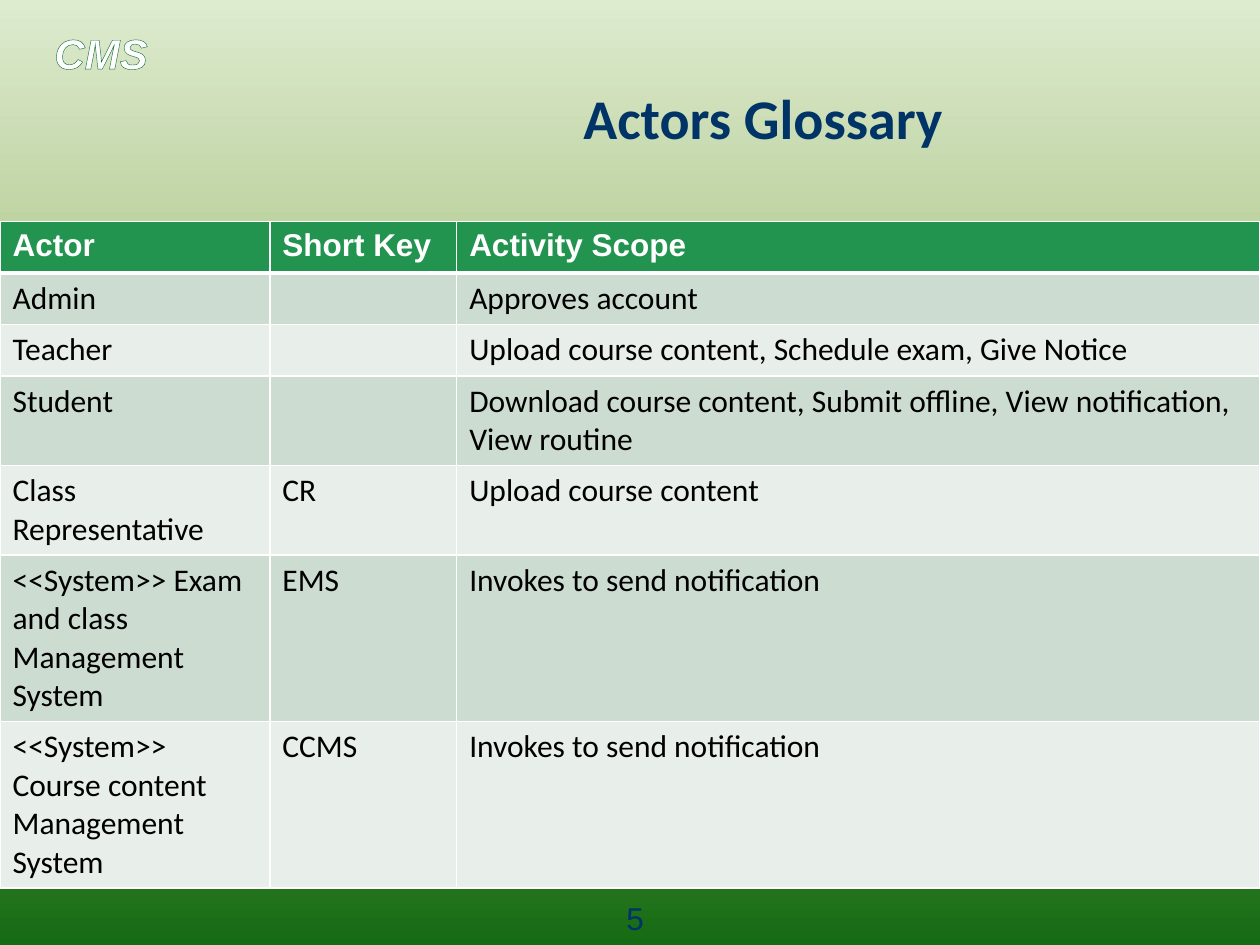
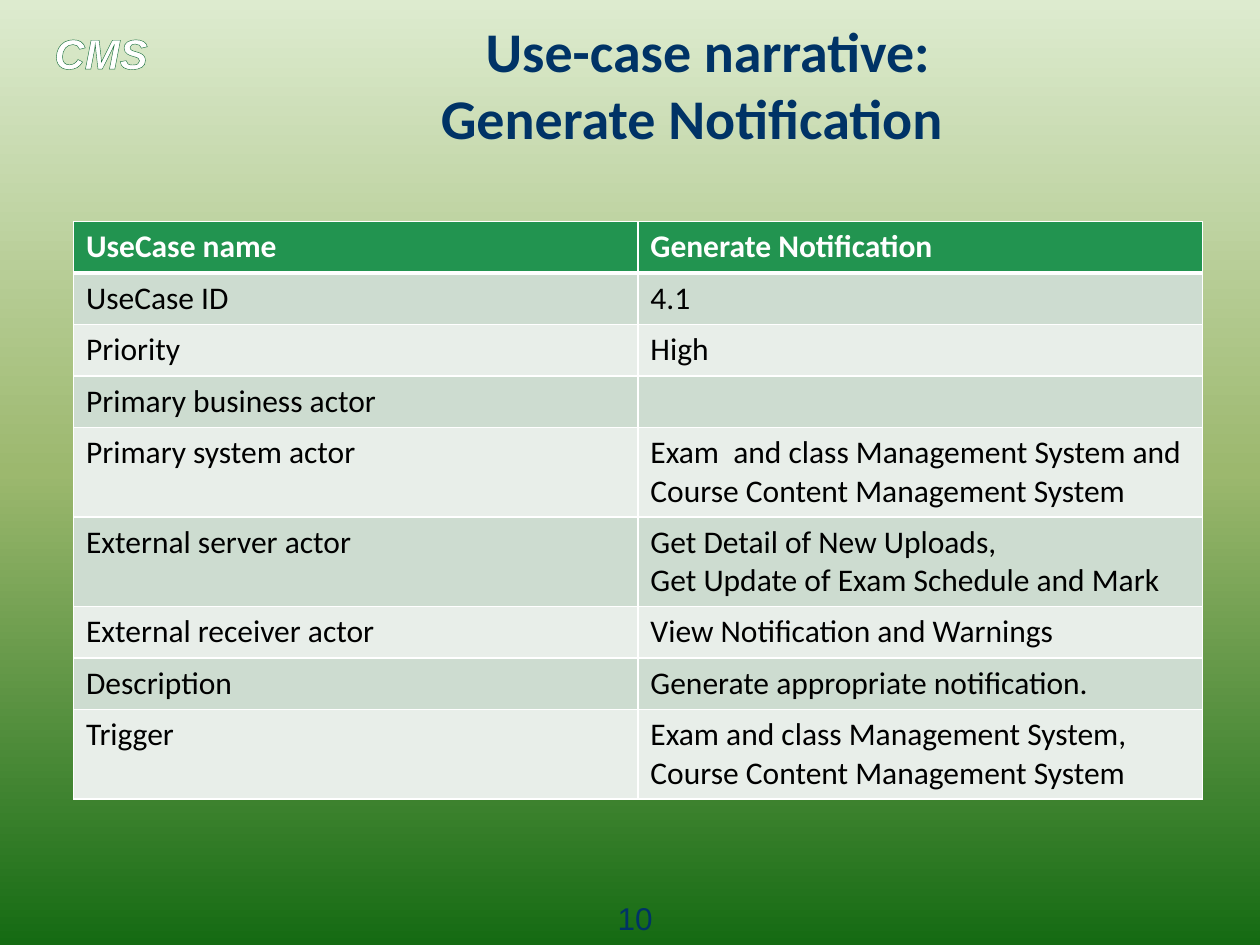
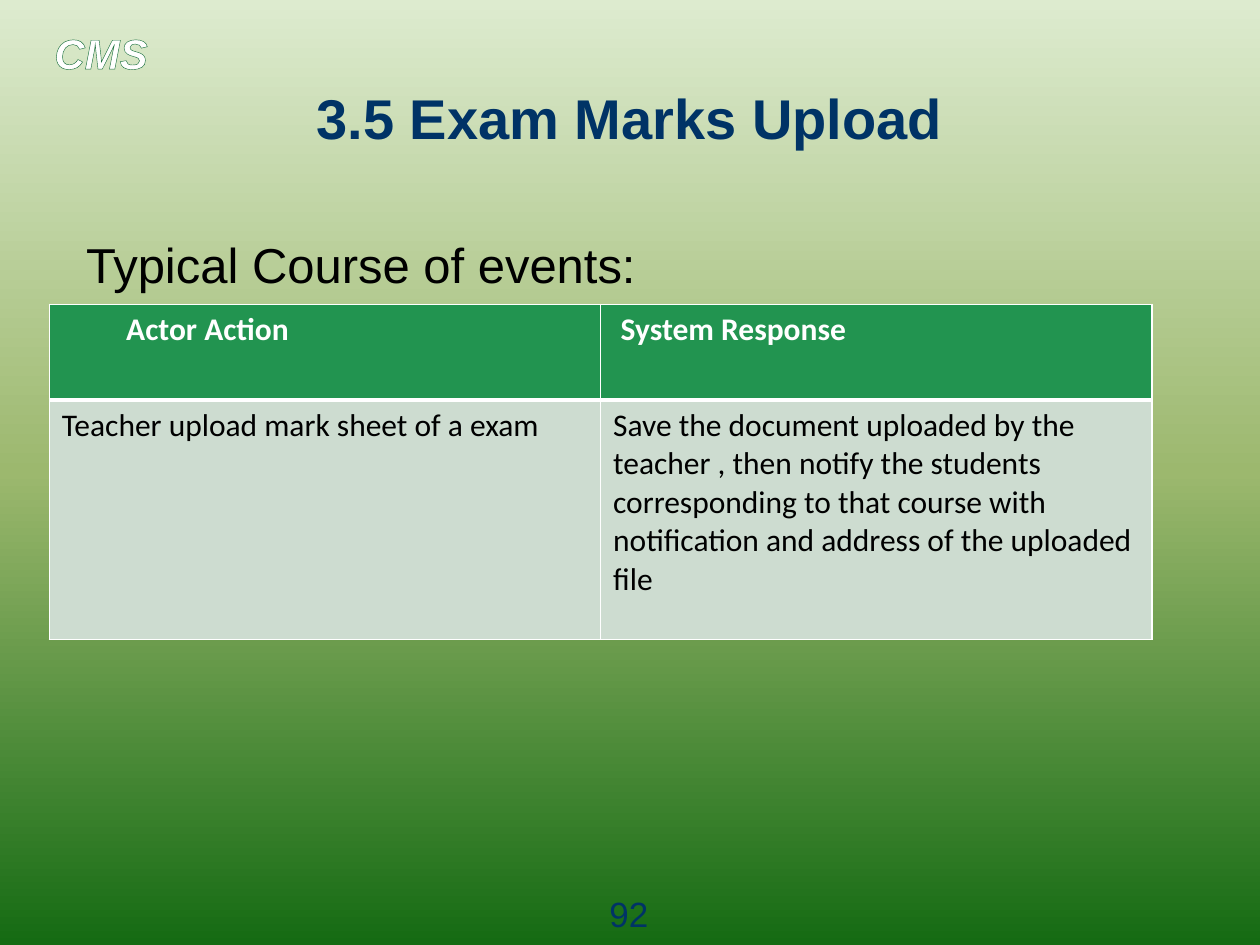
from lxml import etree
from pptx import Presentation
from pptx.dml.color import RGBColor
from pptx.enum.text import MSO_ANCHOR, MSO_AUTO_SIZE, PP_ALIGN
from pptx.oxml import parse_xml
from pptx.oxml.ns import nsdecls, qn
from pptx.util import Inches, Pt

LEFT, MID, RIGHT = PP_ALIGN.LEFT, PP_ALIGN.CENTER, PP_ALIGN.RIGHT
BASE, FIXED = MSO_ANCHOR.BOTTOM, MSO_AUTO_SIZE.NONE
COLS, ROWS = 120, 90
WHITE, BLACK, NAVY, HEAD, EDGE = "FFFFFF", "000000", "003366", "229450", "196F3C"
BANDS = ("CDDCD0", "E8EEE9")
STOPS = ((0, "DDEBCF"), (50, "9CB86E"), (100, "156B13"))
SANS, BODY = "Arial", "Calibri"
TOP, LINE = 21.1, 4.9

ACTORS = [
    ("Actor", "Short Key", "Activity Scope"),
    ("Admin", "", "Approves account"),
    ("Teacher", "", "Upload course content, Schedule exam, Give Notice"),
    ("Student", "", "Download course content, Submit offline, View notification, View routine"),
    ("Class Representative", "CR", "Upload course content"),
    ("<<System>> Exam and class Management System", "EMS", "Invokes to send notification"),
    ("<<System>> Course content Management System", "CCMS", "Invokes to send notification"),
]
NOTICE = [
    ("UseCase name", "Generate Notification"),
    ("UseCase ID", "4.1"),
    ("Priority", "High"),
    ("Primary business actor", ""),
    ("Primary system actor",
     "Exam  and class Management System and Course Content Management System"),
    ("External server actor", "Get Detail of New Uploads,\nGet Update of Exam Schedule and Mark"),
    ("External receiver actor", "View Notification and Warnings"),
    ("Description", "Generate appropriate notification."),
    ("Trigger", "Exam and class Management System, Course Content Management System"),
]
EVENTS = [
    ("Actor Action", "System Response"),
    ("Teacher upload mark sheet of a exam",
     "Save the document uploaded by the teacher , then notify the students corresponding "
     "to that course with notification and address of the uploaded file"),
]


def color(code):
    """Turn a hex string into a colour."""
    return RGBColor.from_string(code)


def solid(code):
    """Give the XML of a solid fill."""
    return f'<a:solidFill><a:srgbClr val="{code}"/></a:solidFill>'


def write(frame, words, size=18, face=BODY, tint=BLACK, bold=False, slant=False, align=LEFT):
    """Fill a text frame with formatted paragraphs."""
    frame.text = words
    for para in frame.paragraphs:
        para.alignment = align
        for run in para.runs:
            font = run.font
            font.size, font.name = Pt(size), face
            font.bold, font.italic = bold, slant
            font.color.rgb = color(tint)


def border(cell, **sides):
    """Draw white borders, in points, in the order given."""
    props = cell._tc.get_or_add_tcPr()
    for spot, (side, width) in enumerate(sides.items()):
        props.insert(spot, parse_xml(
            f'<a:ln{side} {nsdecls("a")} w="{Pt(width)}">{solid(WHITE)}</a:ln{side}>'))


class Deck:
    """Hold the shared style and the current slide."""

    def __init__(self):
        """Start a deck with its backdrop."""
        self.prs = Presentation()
        self.prs.slide_width, self.prs.slide_height = Inches(10), Inches(7.5)
        self.slide = None
        self.backdrop()

    def grid(self, *spans):
        """Turn grid spans into lengths, columns and rows in turn."""
        units = (self.prs.slide_width / COLS, self.prs.slide_height / ROWS)
        return [round(span * units[i % 2]) for i, span in enumerate(spans)]

    def place(self, shape, *spans):
        """Move a shape to a place on the grid."""
        shape.left, shape.top, shape.width, shape.height = self.grid(*spans)

    def backdrop(self):
        """Set the gradient that all slides share."""
        master = self.prs.slide_master
        fill = master.background.fill
        fill.gradient()
        fill.gradient_angle = 270
        stops = master.element.find(".//" + qn("a:gsLst"))
        for stop in list(stops):
            stops.remove(stop)
        for spot, code in STOPS:
            stop = etree.SubElement(stops, qn("a:gs"), pos=str(spot * 1000))
            etree.SubElement(stop, qn("a:srgbClr"), val=code)

    def mark(self):
        """Put the outlined course mark on the master."""
        box = self.box("CMS", 4, 2, 18, 6, size=24, face=SANS, tint=WHITE, bold=True, slant=True)
        props = box.element.find(".//" + qn("a:rPr"))
        props.insert(0, parse_xml(f'<a:ln {nsdecls("a")} w="{Pt(1)}">{solid(EDGE)}</a:ln>'))
        self.prs.slide_master.shapes.element.append(box.element)

    def start(self, title, face=BODY, layout=5):
        """Add a slide with its title."""
        first = self.slide is None
        self.slide = self.prs.slides.add_slide(self.prs.slide_layouts[layout])
        if first:
            self.mark()
        head = self.slide.shapes.title
        self.place(head, 7, 8, 84, 6.4)
        frame = head.text_frame
        frame.auto_size, frame.vertical_anchor = FIXED, BASE
        frame.margin_top = frame.margin_bottom = 0
        write(frame, title, size=32, face=face, tint=NAVY, bold=True, align=RIGHT)

    def box(self, words, *spans, **form):
        """Add a text box."""
        box = self.slide.shapes.add_textbox(*self.grid(*spans))
        box.text_frame.word_wrap = True
        write(box.text_frame, words, **form)
        return box

    def number(self, words, left=55, top=85, size=18):
        """Add the page number."""
        self.box(words, left, top, 11, 3.5, size=size, face=SANS, tint=NAVY, align=MID)

    def body(self, words):
        """Fill the body placeholder without bullets."""
        shape = self.slide.placeholders[1]
        self.place(shape, 7, TOP, 107.5, 61.8)
        frame = shape.text_frame
        frame.auto_size, frame.margin_top = FIXED, Inches(0.1)
        write(frame, words, size=28, face=SANS)
        for para in frame.paragraphs:
            props = para._p.get_or_add_pPr()
            props.set("marL", "0")
            props.set("indent", "0")
            etree.SubElement(props, qn("a:buNone"))
            para.space_before = Pt(0)

    def table(self, data, left, top, cols, rows, face=BODY, pads=()):
        """Add a banded table with a green head row."""
        shape = self.slide.shapes.add_table(
            len(data), len(cols), *self.grid(left, top, sum(cols), sum(rows)))
        table = shape.table
        for col, span in zip(table.columns, cols):
            col.width = self.grid(span)[0]
        for row, span in zip(table.rows, rows):
            row.height = self.grid(0, span)[1]
        for r, line in enumerate(data):
            head = r == 0
            for c, words in enumerate(line):
                cell = table.cell(r, c)
                cell.fill.solid()
                cell.fill.fore_color.rgb = color(HEAD if head else BANDS[(r - 1) % 2])
                border(cell, L=1, R=1, T=3 if r == 1 else 1, B=3 if head else 1)
                write(cell.text_frame, words, face=face if head else BODY,
                      tint=WHITE if head else BLACK, bold=head)
        for c, pad in enumerate(pads):
            table.cell(0, c).margin_left = Inches(pad)


def main():
    """Build and save the deck."""
    deck = Deck()

    deck.start("Actors Glossary")
    deck.table(ACTORS, 0, TOP, (25.7, 17.8, 76.5), [LINE] * len(ACTORS), face=SANS)
    deck.number("5")

    deck.start("Use-case narrative: \nGenerate Notification")
    deck.table(NOTICE, 7, TOP, [53.75] * 2, [LINE] * len(NOTICE))
    deck.number("10")

    deck.start("3.5 Exam Marks Upload", face=SANS, layout=1)
    deck.body("Typical Course of events:")
    deck.number("92", left=54.4, top=84.4, size=20)
    deck.table(EVENTS, 4.7, 29, [52.5] * 2, (9.1, 22.8), pads=(0.61, 0.16))

    deck.prs.save("out.pptx")


if __name__ == "__main__":
    main()
